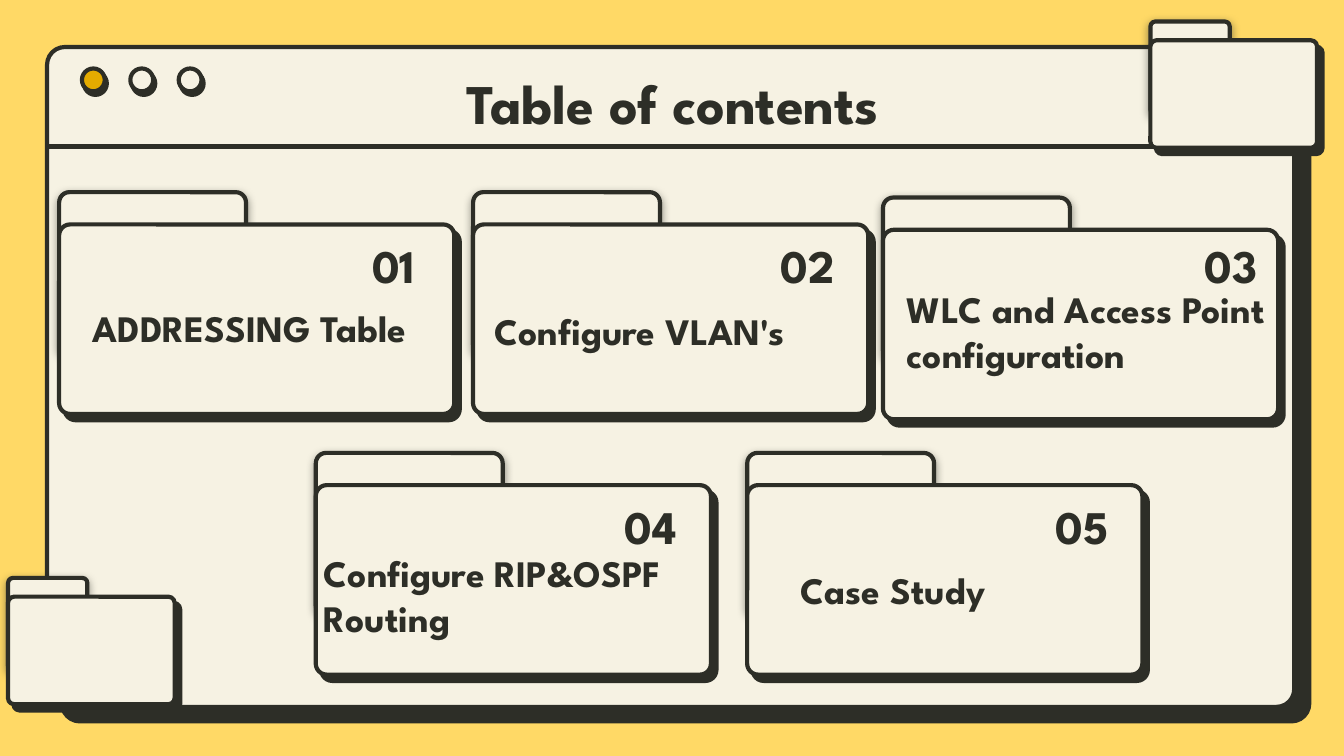
from dataclasses import dataclass

from lxml.etree import SubElement
from pptx import Presentation
from pptx.dml.color import RGBColor
from pptx.enum.shapes import MSO_CONNECTOR, MSO_SHAPE
from pptx.enum.text import MSO_ANCHOR, PP_ALIGN
from pptx.oxml.ns import qn
from pptx.util import Inches, Pt


@dataclass(frozen=True)
class Theme:
    background: str = "FFD966"
    paper: str = "F6F2E3"
    ink: str = "2D2E27"
    accent: str = "E4AB00"
    font: str = "League Spartan"
    title_size: float = 30
    number_size: float = 25
    topic_size: float = 20
    line_width: float = 2.25


@dataclass(frozen=True)
class Shadow:
    distance: float
    angle: int
    blur: float = 0
    opacity: int = 100


THEME = Theme()
WINDOW_SHADOW = Shadow(11.2, 44)
BUTTON_SHADOW = Shadow(2.2, 60)
TAB_SHADOW = Shadow(1.5, 90, blur=4.5, opacity=50)
FOLDER_SHADOW = Shadow(4.5, 49)

LARGE_FOLDER = ((1.39, 1.21), (2.94, 1.41), 0.24)
SMALL_FOLDER = ((0.59, 0.69), (1.24, 0.8), 0.14)

TOPICS = [
    ("01", "ADDRESSING Table", (0.44, 1.43), (2.58, 1.78), (0.59, 2.15, 2.79, 0.58)),
    ("02", "Configure VLAN's", (3.52, 1.43), (5.66, 1.78), (3.58, 2.17, 2.88, 0.58)),
    ("03", "WLC and Access Point configuration", (6.57, 1.47), (8.81, 1.78), (6.65, 2.17, 2.87, 0.58)),
    ("04", "Configure RIP&OSPF Routing", (2.35, 3.37), (4.49, 3.72), (2.31, 4.03, 3.09, 0.8)),
    ("05", "Case Study", (5.56, 3.37), (7.7, 3.72), (5.86, 4.1, 2.02, 0.58)),
]


def cast_shadow(shape, shadow):
    shape.shadow.inherit = False
    effects = shape._element.spPr.find(qn("a:effectLst"))
    outer = SubElement(
        effects,
        qn("a:outerShdw"),
        blurRad=str(Pt(shadow.blur)),
        dist=str(Pt(shadow.distance)),
        dir=str(shadow.angle * 60000),
        algn="bl",
        rotWithShape="0",
    )
    color = SubElement(outer, qn("a:srgbClr"), val=THEME.ink)
    SubElement(color, qn("a:alpha"), val=str(shadow.opacity * 1000))


def add_outlined(page, kind, bounds, shadow, fill=THEME.paper, rounding=None):
    shape = page.shapes.add_shape(kind, *map(Inches, bounds))
    if rounding is not None:
        shape.adjustments[0] = rounding
    shape.fill.solid()
    shape.fill.fore_color.rgb = RGBColor.from_string(fill)
    shape.line.color.rgb = RGBColor.from_string(THEME.ink)
    shape.line.width = Pt(THEME.line_width)
    cast_shadow(shape, shadow)


def add_rule(page, left, right, top):
    rule = page.shapes.add_connector(
        MSO_CONNECTOR.STRAIGHT, Inches(left), Inches(top), Inches(right), Inches(top)
    )
    rule.line.color.rgb = RGBColor.from_string(THEME.ink)
    rule.line.width = Pt(THEME.line_width)
    SubElement(rule._element.spPr, qn("a:effectLst"))


def add_window(page):
    add_outlined(
        page, MSO_SHAPE.ROUNDED_RECTANGLE, (0.35, 0.35, 9.28, 4.91), WINDOW_SHADOW, rounding=0.027
    )
    add_rule(page, 0.36, 9.64, 1.09)
    for index, fill in enumerate((THEME.accent, THEME.paper, THEME.paper)):
        bounds = (0.61 + index * 0.36, 0.51, 0.17, 0.17)
        add_outlined(page, MSO_SHAPE.OVAL, bounds, BUTTON_SHADOW, fill)


def add_folder(page, left, top, dimensions):
    tab, front, drop = dimensions
    kind = MSO_SHAPE.ROUNDED_RECTANGLE
    add_outlined(page, kind, (left, top, *tab), TAB_SHADOW, rounding=0.063)
    add_outlined(page, kind, (left, top + drop, *front), FOLDER_SHADOW, rounding=0.058)


def add_text(page, text, bounds, size, align=PP_ALIGN.LEFT, anchor=MSO_ANCHOR.MIDDLE):
    box = page.shapes.add_textbox(*map(Inches, bounds))
    frame = box.text_frame
    frame.word_wrap = True
    frame.vertical_anchor = anchor
    frame.margin_left = frame.margin_right = Inches(0.1)
    frame.margin_top = frame.margin_bottom = Inches(0.1)
    para = frame.paragraphs[0]
    para.text = text
    para.alignment = align
    para.font.name = THEME.font
    para.font.size = Pt(size)
    para.font.bold = True
    para.font.color.rgb = RGBColor.from_string(THEME.ink)


def add_topic(page, number, topic, folder_corner, number_corner, topic_bounds):
    add_folder(page, *folder_corner, LARGE_FOLDER)
    add_text(page, number, (*number_corner, 0.7, 0.38), THEME.number_size, PP_ALIGN.CENTER)
    add_text(page, topic, topic_bounds, THEME.topic_size)


def main():
    deck = Presentation()
    deck.slide_width = Inches(10)
    deck.slide_height = Inches(10 * 9 / 16)
    page = deck.slides.add_slide(deck.slide_layouts[6])
    page.background.fill.solid()
    page.background.fill.fore_color.rgb = RGBColor.from_string(THEME.background)

    add_window(page)
    for left, top in ((8.56, 0.16), (0.06, 4.3)):
        add_folder(page, left, top, SMALL_FOLDER)
    add_text(
        page,
        "Table of contents",
        (0.79, 0.58, 8.43, 0.53),
        THEME.title_size,
        PP_ALIGN.CENTER,
        MSO_ANCHOR.BOTTOM,
    )
    for topic in TOPICS:
        add_topic(page, *topic)

    deck.save("out.pptx")


if __name__ == "__main__":
    main()
